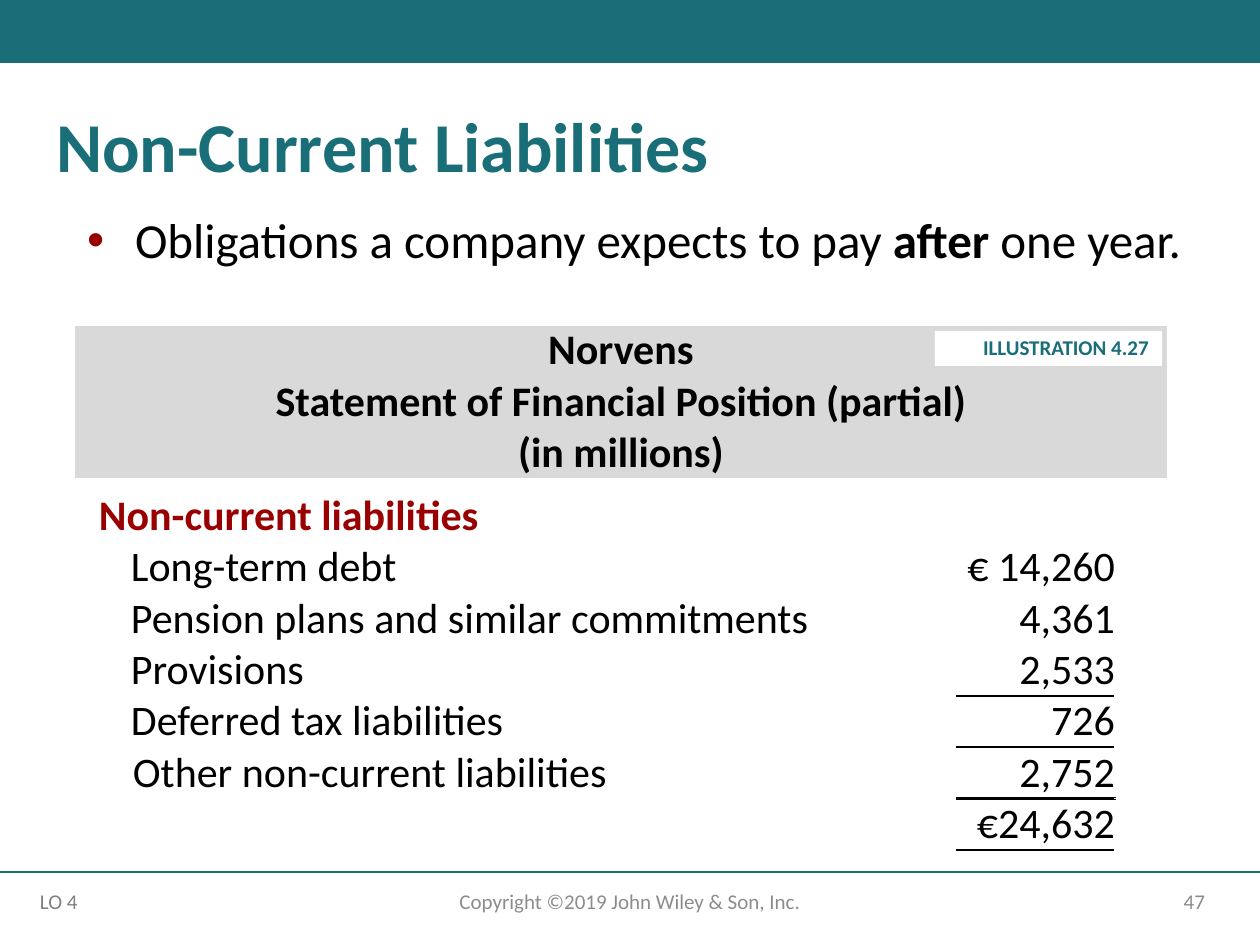
from lxml.etree import SubElement
from pptx import Presentation
from pptx.dml.color import RGBColor
from pptx.enum.shapes import MSO_CONNECTOR, MSO_SHAPE
from pptx.enum.text import MSO_ANCHOR, MSO_AUTO_SIZE, PP_ALIGN
from pptx.oxml.ns import qn
from pptx.util import Emu, Pt

COLORS = {
    "teal": "196E78",
    "red": "990000",
    "black": "000000",
    "white": "FFFFFF",
    "band": "D9D9D9",
    "footer": "8C8C8C",
    "objective": "808080",
}
EMU_PER_PIXEL = 914400 / 126
INSETS = (13, 6, 13, 6)
HEADER = ["Norvens", "Statement of Financial Position (partial)", "(in millions)"]
LIABILITIES = [
    ("Long-term debt", "€ 14,260", 32),
    ("Pension plans and similar commitments", "4,361", 32),
    ("Provisions", "2,533", 32),
    ("Deferred tax liabilities", "726", 32),
    ("Other non-current liabilities", "2,752", 34),
    ("", "€24,632", 0),
]
FIRST_RULED = 2


def px(length):
    return Emu(round(length * EMU_PER_PIXEL))


def rgb(name):
    return RGBColor.from_string(COLORS[name])


def set_bullet(properties, color):
    holder = SubElement(properties, qn("a:buClr"))
    SubElement(holder, qn("a:srgbClr"), val=COLORS[color])
    SubElement(properties, qn("a:buFont"), typeface="Arial")
    SubElement(properties, qn("a:buChar"), char="•")


def write(frame, lines, size=24, color="black", bold=False, align=PP_ALIGN.LEFT,
          spacing=1.0, margin=0, hanging=0, bullet=None, strong=None):
    for index, line in enumerate(lines):
        para = frame.paragraphs[0] if index == 0 else frame.add_paragraph()
        properties = para._p.get_or_add_pPr()
        properties.set("marL", str(px(margin)))
        properties.set("indent", str(-px(hanging)))
        if bullet:
            set_bullet(properties, bullet)
        para.alignment = align
        para.line_spacing = spacing
        para.space_before = Pt(0)
        for text in [line] if isinstance(line, str) else line:
            span = para.add_run()
            span.text = text
            span.font.name = "Calibri"
            span.font.size = Pt(size)
            span.font.bold = bold or text == strong
            span.font.color.rgb = rgb(color)


def place(box, left, top, width, height):
    box.left, box.top, box.width, box.height = map(px, (left, top, width, height))


def set_frame(box, anchor=MSO_ANCHOR.TOP, insets=INSETS):
    frame = box.text_frame
    frame.word_wrap = True
    frame.auto_size = MSO_AUTO_SIZE.NONE
    frame.vertical_anchor = anchor
    (frame.margin_left, frame.margin_top,
     frame.margin_right, frame.margin_bottom) = map(px, insets)
    return frame


def add_rectangle(page, bounds, color):
    box = page.shapes.add_shape(MSO_SHAPE.RECTANGLE, *map(px, bounds))
    box.shadow.inherit = False
    box.fill.solid()
    box.fill.fore_color.rgb = rgb(color)
    box.line.fill.background()
    return box


def add_rule(page, left, top, right):
    rule = page.shapes.add_connector(
        MSO_CONNECTOR.STRAIGHT, px(left), px(top), px(right), px(top))
    rule.line.color.rgb = rgb("teal")
    rule.line.width = Pt(1)
    SubElement(rule._element.spPr, qn("a:effectLst"))


def add_label(page, bounds, text, anchor=MSO_ANCHOR.MIDDLE, insets=INSETS, **style):
    box = page.shapes.add_textbox(*map(px, bounds))
    write(set_frame(box, anchor, insets), [text], size=12, **style)


def set_borders(cell, ruled):
    properties = cell._tc.get_or_add_tcPr()
    for side in "LRTB":
        dark = side in ruled
        line = SubElement(properties, qn(f"a:ln{side}"), w=str(Pt(1.5 if dark else 1)))
        fill = SubElement(line, qn("a:solidFill"))
        SubElement(fill, qn("a:srgbClr"), val=COLORS["black" if dark else "white"])


def format_cell(cell, ruled=""):
    set_borders(cell, ruled)
    cell.fill.background()
    cell.vertical_anchor = MSO_ANCHOR.BOTTOM
    cell.margin_left = cell.margin_top = cell.margin_right = cell.margin_bottom = 0


def ruled_sides(row, column):
    first = FIRST_RULED + 2
    if column != 2 or row < first:
        return ""
    return "B" if row == first else "TB"


def add_statement(page):
    widths = [830, 53, 158, 53]
    heights = [151, 63] + [51] * len(LIABILITIES)
    frame = page.shapes.add_table(
        len(heights), len(widths), px(74), px(325), px(sum(widths)), px(sum(heights)))
    table = frame.table
    table.first_row = table.horz_banding = False
    for column, width in zip(table.columns, widths):
        column.width = px(width)
    for row, height in zip(table.rows, heights):
        row.height = px(height)
    for row in range(len(heights)):
        for column in range(len(widths)):
            format_cell(table.cell(row, column), ruled_sides(row, column))

    header = table.cell(0, 0)
    header.merge(table.cell(0, len(widths) - 1))
    header.fill.solid()
    header.fill.fore_color.rgb = rgb("band")
    write(header.text_frame, HEADER, bold=True, align=PP_ALIGN.CENTER)

    heading = table.cell(1, 0)
    heading.margin_left, heading.margin_top = px(25), px(12)
    write(heading.text_frame, ["Non-current liabilities"], color="red", bold=True)

    for row, (name, amount, margin) in enumerate(LIABILITIES, start=2):
        if name:
            label = table.cell(row, 0)
            label.margin_left = px(25)
            write(label.text_frame, [name], margin=margin)
        write(table.cell(row, 2).text_frame, [amount], align=PP_ALIGN.RIGHT)


def main():
    deck = Presentation()
    deck.slide_width, deck.slide_height = px(1260), px(945)
    page = deck.slides.add_slide(deck.slide_layouts[1])
    title, body = page.placeholders

    add_rectangle(page, (0, 0, 1260, 63), "teal")
    add_rule(page, 0, 872, 1260)
    add_label(page, (890, 876, 328, 50), "47", color="footer", align=PP_ALIGN.RIGHT)
    add_label(page, (417, 876, 426, 50), "Copyright ©2019 John Wiley & Son, Inc.",
              color="footer", align=PP_ALIGN.CENTER)
    add_label(page, (31, 883, 67, 38), "LO 4", anchor=MSO_ANCHOR.TOP,
              insets=(0, 6, 0, 6), color="objective", margin=9)

    place(title, 43, 105, 1196, 89)
    write(set_frame(title, MSO_ANCHOR.MIDDLE), ["Non-Current Liabilities"],
          size=40, color="teal", bold=True, spacing=0.9)
    place(body, 43, 210, 1176, 84)
    write(set_frame(body), [["Obligations a company expects to pay ", "after", " one year."]],
          size=28, spacing=0.9, margin=79, hanging=48, bullet="red", strong="after")

    add_statement(page)
    badge = add_rectangle(page, (935, 331, 227, 35), "white")
    write(set_frame(badge, MSO_ANCHOR.MIDDLE), ["ILLUSTRATION 4.27"], size=12,
          color="teal", bold=True, align=PP_ALIGN.RIGHT, spacing=0.9)
    deck.save("out.pptx")


if __name__ == "__main__":
    main()
